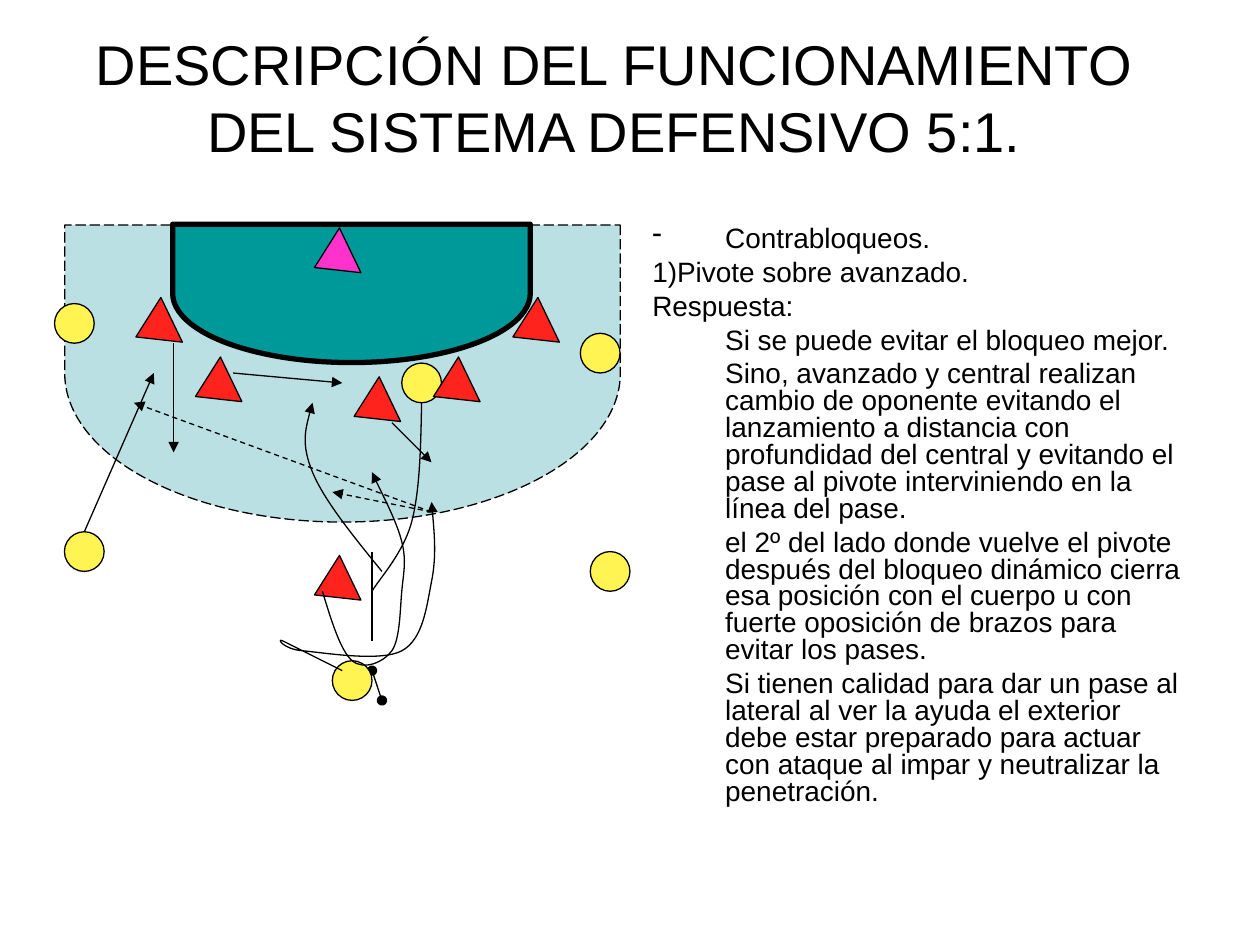
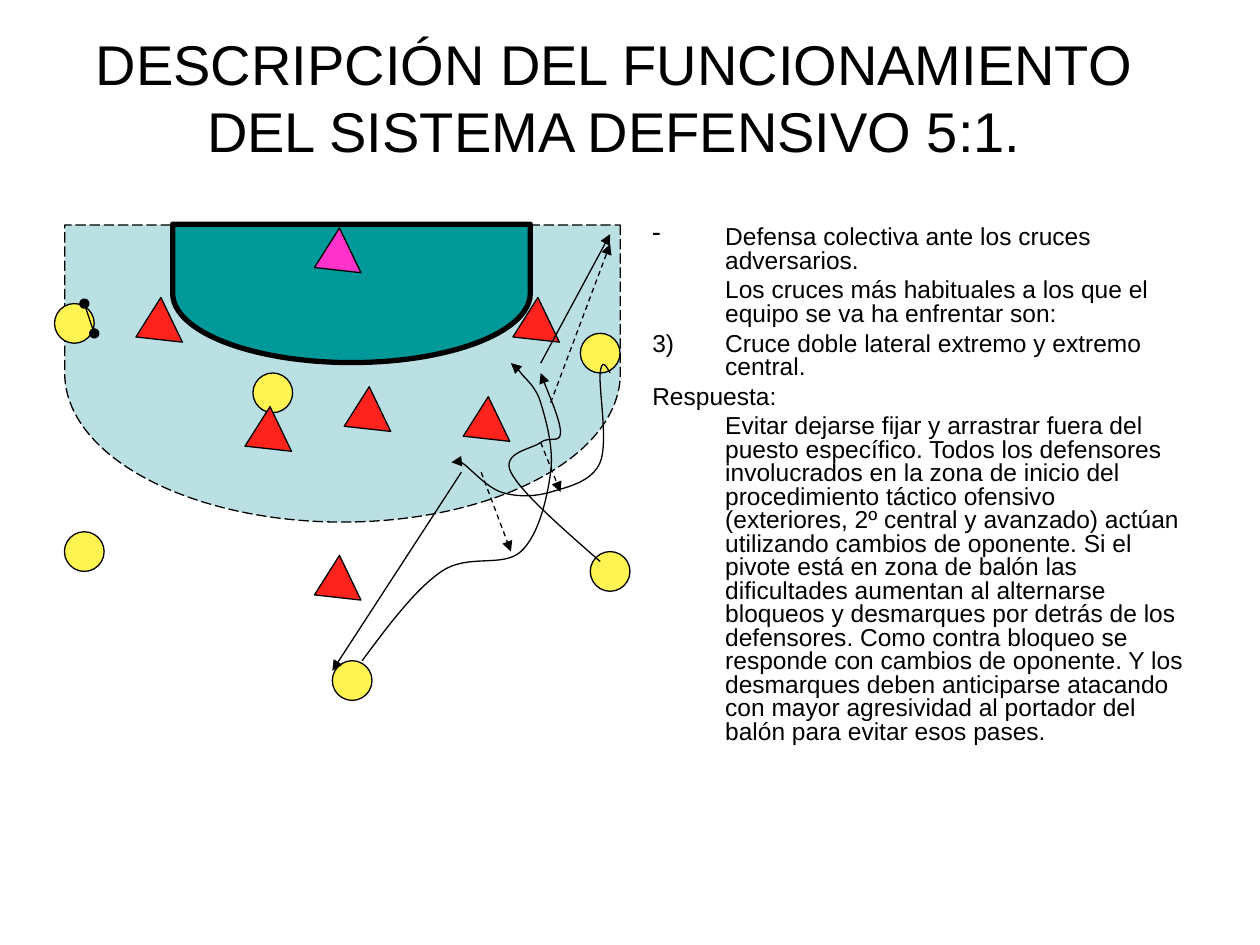
import lxml.etree
import pptx
import pptx.dml.color
import pptx.enum.dml
import pptx.enum.shapes
import pptx.enum.text
import pptx.oxml.ns
import pptx.util

Cm, Pt = pptx.util.Cm, pptx.util.Pt
RGB = pptx.dml.color.RGBColor
qn = pptx.oxml.ns.qn
Shape = pptx.enum.shapes.MSO_SHAPE
Dash = pptx.enum.dml.MSO_LINE
Text = pptx.enum.text

BLACK = RGB(0x00, 0x00, 0x00)
PALE = RGB(0xBB, 0xE0, 0xE3)
TEAL = RGB(0x00, 0x99, 0x99)
RED = RGB(0xFF, 0x23, 0x1E)
YELLOW = RGB(0xFF, 0xF4, 0x52)
PINK = RGB(0xFF, 0x33, 0xCC)

FONT = "Arial"
TITLE = "DESCRIPCIÓN DEL FUNCIONAMIENTO DEL SISTEMA DEFENSIVO 5:1."
CELL = 0.2  # court grid step, in cm
HANG = Cm(1.47)


def spot(x, y):
    """Turn court grid units into slide lengths."""
    return Cm(0.1 + CELL * x), Cm(0.12 + CELL * y)


def add(parent, tag, **attrs):
    return lxml.etree.SubElement(parent, qn(tag), attrs)


def bend(knots, ease):
    """Return the Bezier points of a smooth curve through the knots."""
    last = len(knots) - 1

    def slope(i, axis):
        after, before = knots[min(i + 1, last)], knots[max(i - 1, 0)]
        return (after[axis] - before[axis]) / 6

    points = [knots[0]]
    for i in range(last):
        a, b = knots[i], knots[i + 1]
        out = [a[n] + slope(i, n) for n in (0, 1)]
        into = [b[n] - slope(i + 1, n) for n in (0, 1)]
        if i == 0:
            out = [(a[n] + into[n]) / 2 for n in (0, 1)]
        elif i == last - 1 and not ease:
            into = [(out[n] + b[n]) / 2 for n in (0, 1)]
        points += [out, into, b]
    return points


class Deck:
    def __init__(self):
        self.prs = pptx.Presentation()
        self.prs.slide_width, self.prs.slide_height = Cm(25.4), Cm(19.05)
        self.slide = None

    def page(self):
        self.slide = self.prs.slides.add_slide(self.prs.slide_layouts[5])
        title = self.slide.shapes.title
        title.left, title.top = Cm(1.27), Cm(0.76)
        title.width, title.height = Cm(22.23), Cm(2.36)
        frame = title.text_frame
        frame.text = TITLE
        frame.auto_size = Text.MSO_AUTO_SIZE.NONE
        frame.vertical_anchor = Text.MSO_ANCHOR.MIDDLE
        frame.paragraphs[0].alignment = Text.PP_ALIGN.CENTER
        self.style(frame.paragraphs[0], 32)

    def style(self, para, size):
        for run in para.runs:
            run.font.name, run.font.size = FONT, Pt(size)
            run.font.color.rgb = BLACK

    def notes(self, size, items):
        """Write (mark, text) items; the mark sets bullet and indent."""
        box = self.slide.shapes.add_textbox(Cm(12.9), Cm(4.45), Cm(11.23), Cm(12.57))
        frame = box.text_frame
        frame.word_wrap = True
        for i, (mark, text) in enumerate(items):
            para = frame.paragraphs[0] if i == 0 else frame.add_paragraph()
            para.text = text
            para.line_spacing = 0.8
            para.space_before = Pt(size / 4 if i else 0)
            props = para._p.get_or_add_pPr()
            props.set("marL", str(HANG))
            props.set("indent", "0" if mark == "in" else str(-HANG))
            if mark == "-":
                add(props, "a:buChar", char="-")
            elif mark == "3)":
                add(props, "a:buAutoNum", type="arabicParenR", startAt="3")
            else:
                add(props, "a:buNone")
            self.style(para, size)

    def pen(self, shape, width=0.75, dash=None, head=None, tail=None):
        shape.line.color.rgb = BLACK
        shape.line.width = Pt(width)
        if dash:
            shape.line.dash_style = dash
        ln = shape.element.spPr.find(qn("a:ln"))
        for tag, kind in (("a:headEnd", head), ("a:tailEnd", tail)):
            if kind:
                add(ln, tag, type=kind)

    def form(self, kind, box, fill, turn=0, width=0.75, dash=None):
        shape = self.slide.shapes.add_shape(kind, *box)
        shape.rotation = turn
        shape.shadow.inherit = False
        shape.fill.solid()
        shape.fill.fore_color.rgb = fill
        self.pen(shape, width, dash)

    def zone(self, left, top, width, height, fill, line, dash=None):
        box = [Cm(n) for n in (left, top, width, height)]
        self.form(Shape.FLOWCHART_DELAY, box, fill, 90, line, dash)

    def rival(self, x, y):
        self.form(Shape.OVAL, (*spot(x - 2, y - 2), Cm(0.8), Cm(0.8)), YELLOW)

    def guard(self, x, y, fill=RED):
        box = (*spot(x - 2.5, y - 2), Cm(1), Cm(0.8))
        self.form(Shape.ISOSCELES_TRIANGLE, box, fill, 244.3)

    def line(self, start, end, dash=None, head=None, tail="triangle"):
        link = self.slide.shapes.add_connector(
            pptx.enum.shapes.MSO_CONNECTOR.STRAIGHT, *spot(*start), *spot(*end))
        self.pen(link, 0.75, dash, head, tail)
        add(link.element.spPr, "a:effectLst")

    def curve(self, *knots, ease=False, tail="triangle"):
        points = [spot(*p) for p in bend(knots, ease)]
        pen = self.slide.shapes.build_freeform(*points[0], scale=1.0)
        pen.add_line_segments(points[1:], close=False)
        shape = pen.convert_to_shape()
        # Fold each three straight steps into one Bezier step
        steps = iter(shape.element.findall(".//" + qn("a:lnTo")))
        for trio in zip(steps, steps, steps):
            bezier = lxml.etree.Element(qn("a:cubicBezTo"))
            trio[0].addprevious(bezier)
            for step in trio:
                bezier.append(step[0])
                step.getparent().remove(step)
        shape.fill.background()
        shape.shadow.inherit = False
        self.pen(shape, tail=tail)

    def court(self, pivot, guards, ball):
        """Draw the zones, the shared players and the ball."""
        self.zone(3.91, 1.93, 5.99, 11.2, PALE, 0.75, Dash.LONG_DASH)
        self.zone(5.69, 2.31, 2.79, 7.21, TEAL, 3)
        self.rival(7, 32)
        self.line(*ball, head="oval", tail="oval")
        for place in ((8, 55), pivot, (60, 35), (61, 57), (35, 68)):
            self.rival(*place)
        self.guard(33, 25.5, PINK)
        for place in ((15, 32.5), (33, 58.5), *guards, (53, 32.5)):
            self.guard(*place)


def main():
    deck = Deck()

    # Slide 1: screens against the advanced defender
    deck.page()
    deck.notes(16, [
        ("-", "Contrabloqueos."),
        ("", "1)Pivote sobre avanzado."),
        ("", "Respuesta:"),
        ("in", "Si se puede evitar el bloqueo mejor."),
        ("in", "Sino, avanzado y central realizan cambio de oponente evitando el "
               "lanzamiento a distancia con profundidad del central y evitando el "
               "pase al pivote interviniendo en la línea del pase."),
        ("in", "el 2º del lado donde vuelve el pivote después del bloqueo dinámico "
               "cierra esa posición con el cuerpo u con fuerte oposición de brazos "
               "para evitar los pases."),
        ("in", "Si tienen calidad para dar un pase al lateral al ver la ayuda el "
               "exterior debe estar preparado para actuar con ataque al impar y "
               "neutralizar la penetración."),
    ])
    deck.court((42, 38), [(21, 38.5), (37, 40.5), (45, 38.5)], ((37, 67), (38, 70)))
    # Runs
    deck.curve((42, 40), (41, 52), (37, 59), ease=True, tail=None)
    deck.line((37, 55), (37, 64), tail=None)
    deck.curve((34, 67), (28, 64), (30, 65), (40, 65), (43, 58), (43, 50))
    deck.curve((32, 59), (35, 66), (39, 65), (40, 59), (40, 54), (37, 47), ease=True)
    deck.curve((38, 57), (31, 47), (31, 40))
    # Passes and shifts
    for end in ((33, 49), (13, 40)):
        deck.line((43, 51), end, Dash.DASH)
    for start, end in (((39, 42), (43, 46)), ((23, 37), (34, 38)),
                       ((8, 53), (15, 37)), ((17, 34), (17, 45))):
        deck.line(start, end)

    # Slide 2: double crossing
    deck.page()
    deck.notes(14, [
        ("-", "Defensa colectiva ante los cruces adversarios."),
        ("in", "Los cruces más habituales a los que el equipo se va ha enfrentar son:"),
        ("3)", "Cruce doble lateral extremo y extremo central."),
        ("", "Respuesta:"),
        ("in", "Evitar dejarse fijar y arrastrar fuera del puesto específico. Todos "
               "los defensores involucrados en la zona de inicio del procedimiento "
               "táctico ofensivo (exteriores, 2º central y avanzado) actúan "
               "utilizando cambios de oponente. Si el pivote está en zona de balón "
               "las dificultades aumentan al alternarse bloqueos y desmarques por "
               "detrás de los defensores. Como contra bloqueo se responde con "
               "cambios de oponente. Y los desmarques deben anticiparse atacando "
               "con mayor agresividad al portador del balón para evitar esos pases."),
    ])
    deck.court((27, 39), [(26, 43.5), (36, 41.5), (48, 42.5)], ((8, 30), (9, 33)))
    # Runs
    deck.curve((60, 56), (51, 47), (54, 44), (56, 43), (54, 37), ease=True)
    deck.curve((61, 37), (60, 37), (60, 46), (55, 49), (50, 49), (46, 46), (45, 46))
    deck.curve((36, 66), (44, 57), (52, 55), (55, 47), (54, 40), (52, 37), (51, 36))
    # Passes and shifts
    for start, end in (((54, 36), (61, 23)), ((46, 47), (33, 67))):
        deck.line(start, end)
    for start, end in (((54, 44), (56, 49)), ((48, 47), (51, 55)),
                       ((55, 40), (61, 24))):
        deck.line(start, end, Dash.DASH)

    deck.prs.save("out.pptx")


if __name__ == "__main__":
    main()
